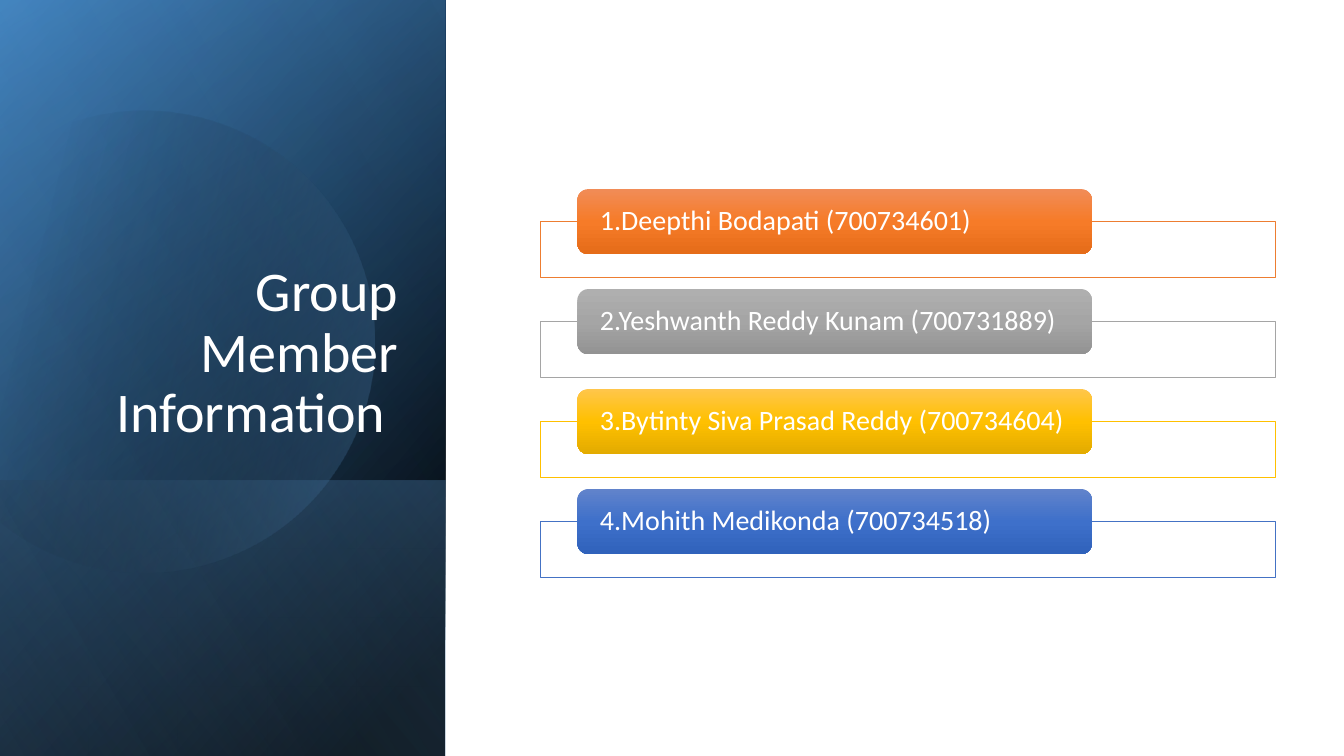
"""Build the group member slide: a blue title panel beside four name cards."""
from itertools import pairwise
from math import cos, radians, sin, tan

from lxml.etree import SubElement
from pptx import Presentation
from pptx.dml.color import RGBColor
from pptx.enum.shapes import MSO_SHAPE
from pptx.enum.text import MSO_ANCHOR, MSO_AUTO_SIZE, PP_ALIGN
from pptx.oxml import parse_xml
from pptx.oxml.ns import nsdecls, qn
from pptx.util import Pt

COLORS = {
    "white": "FFFFFF", "black": "000000",
    "deep blue": "2E75B6", "blue": "5B9BD5", "pale blue": "9DC3E6",
}
SLIDE_HEIGHT = 540
PANEL_WIDTH = 318
CARD_PITCH = 71.4
CIRCLE_RADIUS = 164.8
CIRCLE_ANGLES = (-117.3, -90, 0, 90, 149.5)
UNITS_PER_POINT = 100


def paint_gradient(shape, stops, angle):
    stop_xml = "".join(
        f'<a:gs pos="{position * 1000}"><a:srgbClr val="{color}">'
        f'<a:alpha val="{opacity * 1000}"/></a:srgbClr></a:gs>'
        for position, color, opacity in stops
    )
    gradient = parse_xml(
        f'<a:gradFill {nsdecls("a")} rotWithShape="1"><a:gsLst>{stop_xml}</a:gsLst>'
        f'<a:lin ang="{angle * 60000}" scaled="0"/></a:gradFill>'
    )
    shape.shadow.inherit = False
    shape.line.fill.background()
    shape.fill.background()
    properties = shape.element.spPr
    properties.replace(properties.find(qn("a:noFill")), gradient)


def add_panel(length, stops, angle):
    left = (PANEL_WIDTH - length) / 2
    top = SLIDE_HEIGHT - (PANEL_WIDTH + length) / 2
    panel = slide.shapes.add_shape(
        MSO_SHAPE.RECTANGLE, Pt(left), Pt(top), Pt(length), Pt(PANEL_WIDTH)
    )
    panel.rotation = 90
    panel.element.spPr.xfrm.set("flipH", "1")
    paint_gradient(panel, stops, angle)


presentation = Presentation()
presentation.slide_width = Pt(960)
presentation.slide_height = Pt(SLIDE_HEIGHT)
slide = presentation.slides.add_slide(presentation.slide_layouts[5])

black, blue = COLORS["black"], COLORS["blue"]
add_panel(SLIDE_HEIGHT, [(8, black, 100), (100, COLORS["deep blue"], 100)], 50)
add_panel(SLIDE_HEIGHT, [(0, black, 0), (99, blue, 46)], 30)
add_panel(197, [(2, blue, 29), (100, black, 30)], 130)

radius = CIRCLE_RADIUS * UNITS_PER_POINT
turns = [radians(angle) for angle in CIRCLE_ANGLES]
left_edge = radius * cos(turns[-1])
anchors = [(radius * cos(turn) - left_edge, radius * sin(turn) + radius) for turn in turns]
builder = slide.shapes.build_freeform(*anchors[0], scale=Pt(1) / UNITS_PER_POINT)
builder.add_line_segments(anchors[1:], close=True)
circle = builder.convert_to_shape()
segments = list(circle.element.spPr.iter(qn("a:lnTo")))
for segment, (start, end) in zip(segments, pairwise(turns)):
    reach = radius * 4 / 3 * tan((end - start) / 4)
    curve = parse_xml(f'<a:cubicBezTo {nsdecls("a")}/>')
    for turn, handle in ((start, reach), (end, -reach), (end, 0)):
        x = radius * cos(turn) - handle * sin(turn) - left_edge
        y = radius * sin(turn) + handle * cos(turn) + radius
        SubElement(curve, qn("a:pt"), x=str(round(x)), y=str(round(y)))
    segment.getparent().replace(segment, curve)
circle.left, circle.top = Pt(-39.6), Pt(76.3)
circle.rotation = 343.9
paint_gradient(circle, [(29, black, 0), (100, blue, 43)], 30)

add_panel(SLIDE_HEIGHT, [(0, black, 0), (99, COLORS["pale blue"], 11)], 120)

title = slide.shapes.title
slide.shapes.element.append(title.element)
title_place = {"left": 46, "top": 132.8, "width": 245.5, "height": 188.5}
for name, value in title_place.items():
    setattr(title, name, Pt(value))
title.text_frame.text = "Group Member Information "

members = [
    ("1.Deepthi Bodapati (700734601)", "ED7D31", ("F18C57", "F67B28", "E56C19")),
    ("2.Yeshwanth Reddy Kunam (700731889)", "A5A5A5", ("AFAFAF", "A5A5A5", "939393")),
    ("3.Bytinty Siva Prasad Reddy (700734604)", "FFC000", ("FFC64B", "FFC000", "E3AB00")),
    ("4.Mohith Medikonda\u00a0(700734518)", "4472C4", ("6183CB", "3E70CA", "3062BB")),
]
text_formats = [(title, 40, PP_ALIGN.RIGHT, MSO_ANCHOR.BOTTOM, 7.2, 3.6)]
for index, (member, outline, shades) in enumerate(members):
    offset = index * CARD_PITCH
    frame = slide.shapes.add_shape(
        MSO_SHAPE.RECTANGLE, Pt(386), Pt(158.3 + offset), Pt(525), Pt(40)
    )
    frame.shadow.inherit = False
    frame.fill.solid()
    frame.fill.fore_color.rgb = RGBColor.from_string(COLORS["white"])
    fill_color = frame.element.spPr.find(qn("a:solidFill")).find(qn("a:srgbClr"))
    SubElement(fill_color, qn("a:alpha"), val="90000")
    frame.line.color.rgb = RGBColor.from_string(outline)
    frame.line.width = Pt(0.5)

    card = slide.shapes.add_shape(
        MSO_SHAPE.ROUNDED_RECTANGLE, Pt(412.5), Pt(135.1 + offset), Pt(367.5), Pt(46.5)
    )
    paint_gradient(card, [(step * 50, shade, 100) for step, shade in enumerate(shades)], 90)
    card.text_frame.text = member
    text_formats.append((card, 20, PP_ALIGN.LEFT, MSO_ANCHOR.MIDDLE, 13.8, 0))

for shape, size, alignment, anchor, side_margin, end_margin in text_formats:
    frame_format = {
        "word_wrap": True, "auto_size": MSO_AUTO_SIZE.NONE, "vertical_anchor": anchor,
        "margin_left": Pt(side_margin), "margin_right": Pt(side_margin),
        "margin_top": Pt(end_margin), "margin_bottom": Pt(end_margin),
    }
    for name, value in frame_format.items():
        setattr(shape.text_frame, name, value)
    paragraph = shape.text_frame.paragraphs[0]
    paragraph.alignment = alignment
    paragraph.line_spacing = 0.9
    font = paragraph.runs[0].font
    for name, value in {"name": "Calibri", "size": Pt(size)}.items():
        setattr(font, name, value)
    font.color.rgb = RGBColor.from_string(COLORS["white"])

presentation.save("out.pptx")
